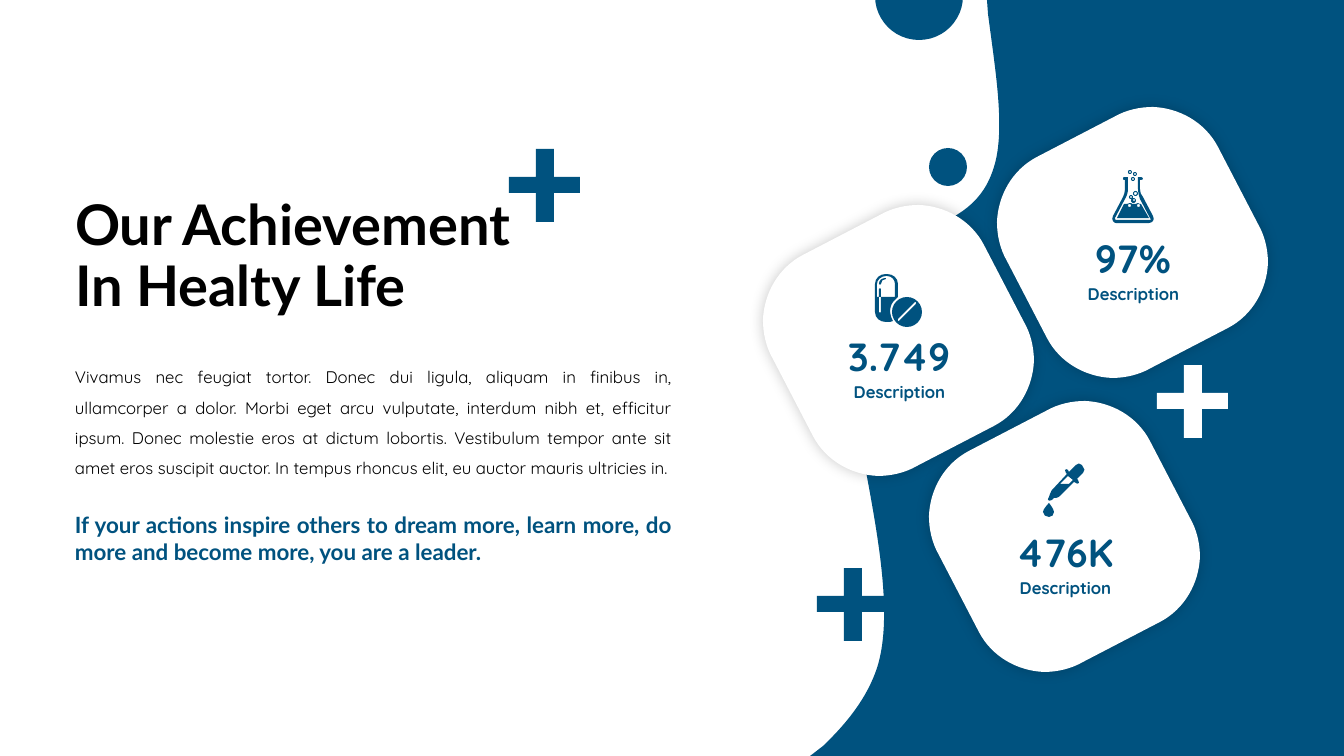
from lxml.etree import SubElement
from pptx import Presentation
from pptx.dml.color import RGBColor
from pptx.enum.shapes import MSO_SHAPE
from pptx.enum.text import MSO_ANCHOR, MSO_AUTO_SIZE, PP_ALIGN
from pptx.oxml import parse_xml
from pptx.oxml.ns import nsdecls, qn
from pptx.util import Pt

PX = 9071  # EMU in one px, at 100.8 px to the inch
BLUE, WHITE, BLACK = "00527F", "FFFFFF", "000000"

WAVE = """M 987 0 L 1344 0 L 1344 756 L 810 756 L 823 746
    C 847 723 867 698 877 668 C 907 574 831 384 850 300
    C 870 218 968 246 993 170 C 1006 133 996 75 988 14"""
CARD = """M 117 10 C 129 3 143 0 156 0 C 182 1 208 15 221 40
    L 261 117 C 268 129 271 143 271 156 C 270 182 256 208 231 221
    L 154 261 C 142 268 128 271 115 271 C 89 270 63 256 50 231
    L 10 154 C 3 142 0 128 0 115 C 1 89 15 63 40 50"""
PLUS = """M 27 0 L 45 0 L 45 28 L 71 28 L 71 44 L 45 44
    L 45 73 L 27 73 L 27 44 L 0 44 L 0 28 L 27 28"""
PILLS = """M 18 47 C 17 48 14 48 12 48 L 11 48 C 5 48 0 44 0 38 L 0 10
    C 0 4 5 0 11 0 L 12 0 C 18 0 23 4 23 10 L 23 23
    C 22 24 21 25 20 26 C 14 31 14 40 18 47
    M 20 23 L 20 10 C 20 6 17 2 12 2 L 11 2 C 6 2 2 6 2 10 L 2 23
    L 4 23 L 4 38 C 4 39 6 39 6 38 L 6 23
    M 11 4 L 11 5 C 8 5 6 7 6 10 C 6 11 4 11 4 10 C 4 6 7 4 11 4
    M 4 15 C 4 14 6 14 6 15 L 6 23 L 4 23 O 17 23 30
    M 41 28 L 40 28 L 23 45 C 22 46 22 46 23 47 L 24 47 L 41 30"""
DROPPER = """M 40 4 L 39 2 C 37 0 35 0 33 2 L 26 9 L 25 7 C 24 6 23 6 22 7
    C 22 8 22 9 23 10 L 24 11 L 10 26 C 9 27 8 28 8 29 L 7 31
    C 7 32 6 33 6 34 C 5 35 5 37 5 37 C 6 38 7 38 9 37 C 9 36 11 36 11 35
    L 13 35 C 14 35 16 34 17 33 L 31 19 L 33 20 C 33 21 35 21 36 20
    C 36 20 36 19 35 17 L 34 16 L 40 10 C 42 8 42 5 40 4
    M 26 21 L 17 21 L 25 13 L 30 17
    M 6 40 C 6 40 11 46 11 49 C 11 52 9 54 6 54
    C 3 54 0 52 0 49 C 0 46 6 40 6 40"""
FLASK = """M 41 51 C 40 52 39 53 37 53 L 4 53 C 3 53 1 52 1 51
    C 0 50 0 48 1 46 L 11 27 C 12 25 13 22 13 19 L 13 10 L 12 10
    C 11 10 11 9 11 9 C 11 8 11 7 12 7 L 16 7 L 16 19 C 16 22 15 26 13 29
    L 3 48 C 3 49 3 50 4 50 L 37 50 C 38 50 39 50 39 49 L 38 48 L 28 29
    C 27 26 26 22 26 19 L 26 7 L 29 7 C 30 7 31 8 31 9 C 31 9 30 10 29 10
    L 28 10 L 28 19 C 28 22 29 25 31 27 L 41 46 C 42 48 42 50 41 51
    M 18 33 C 19 33 20 33 20 34 L 24 34 C 24 34 25 33 26 33
    C 27 33 27 34 28 34 L 29 34 L 37 48 L 5 48 L 12 34 L 15 34
    C 16 33 16 33 18 33 O 16 34 3 O 25 34 3
    O 19 28 5 O 21 29 2 O 21 21 5 O 22 22 3 O 21 2 4 O 22 3 2
    O 17 25 4 O 18 26 2 O 16 0 4 O 17 1 2 O 19 7 4 O 20 8 2"""

presentation = Presentation()
presentation.slide_width = 1344 * PX
presentation.slide_height = 756 * PX
slide = presentation.slides.add_slide(presentation.slide_layouts[5])
slide.background.fill.solid()
slide.background.fill.fore_color.rgb = RGBColor.from_string(WHITE)


def draw_outline(left, top, outline, color):
    """Draw closed contours: M move, L line, C cubic curve, O circle (left, top, diameter)."""
    commands, anchors = [], []
    tokens = iter(outline.split())
    for letter in tokens:
        count = {"M": 2, "L": 2, "C": 6, "O": 3}[letter]
        numbers = [int(next(tokens)) * PX for _ in range(count)]
        if letter == "O":
            x, y, diameter = numbers
            radius = diameter // 2
            commands.append(("M", [(x + diameter, y + radius)], radius))
            anchors += [(x, y), (x + diameter, y + diameter)]
        else:
            points = list(zip(numbers[::2], numbers[1::2]))
            commands.append((letter, points, 0))
            anchors.append(points[-1])
    builder = slide.shapes.build_freeform(*anchors[0])
    builder.add_line_segments(anchors[1:])
    shape = builder.convert_to_shape(left * PX, top * PX)

    # The straight draft gives the frame; its steps make way for lines, curves and arcs.
    outline_path = next(shape.element.iter(qn("a:path")))
    for step in list(outline_path):
        outline_path.remove(step)
    min_x, min_y = (min(values) for values in zip(*anchors))
    tags = {"M": "a:moveTo", "L": "a:lnTo", "C": "a:cubicBezTo"}
    for index, (letter, points, radius) in enumerate(commands):
        if letter == "M" and index:
            SubElement(outline_path, qn("a:close"))
        step = SubElement(outline_path, qn(tags[letter]))
        for x, y in points:
            SubElement(step, qn("a:pt"), x=str(x - min_x), y=str(y - min_y))
        if radius:
            for start in ("0", "10800000"):
                SubElement(outline_path, qn("a:arcTo"), wR=str(radius), hR=str(radius),
                           stAng=start, swAng="10800000")
    SubElement(outline_path, qn("a:close"))

    shape.shadow.inherit = False
    shape.fill.solid()
    shape.fill.fore_color.rgb = RGBColor.from_string(color)
    shape.line.fill.background()
    return shape


def write_text(shape, box, text, size, color=BLUE, font="Quicksand", bold=True,
               align=PP_ALIGN.CENTER, anchor=MSO_ANCHOR.MIDDLE, line_spacing=1.0,
               auto_size=MSO_AUTO_SIZE.SHAPE_TO_FIT_TEXT):
    shape.left, shape.top, shape.width, shape.height = [value * PX for value in box]
    frame = shape.text_frame
    frame.text = text
    frame.word_wrap = True
    frame.auto_size = auto_size
    frame.vertical_anchor = anchor
    paragraph = frame.paragraphs[0]
    paragraph.alignment = align
    paragraph.line_spacing = line_spacing
    run_font = paragraph.runs[0].font
    run_font.name = font
    run_font.size = Pt(size)
    run_font.bold = bold
    run_font.color.rgb = RGBColor.from_string(color)


draw_outline(0, 0, WAVE, BLUE)

cards = [
    (763, 205, "3.749", PILLS, 112, 69),
    (929, 401, "476K", DROPPER, 114, 62),
    (997, 107, "97%", FLASK, 115, 63),
]
for left, top, number, icon, icon_left, icon_top in cards:
    card = draw_outline(left, top, CARD, WHITE)
    card.element.spPr.find(qn("a:effectLst")).append(parse_xml(
        f'<a:outerShdw {nsdecls("a")} blurRad="{Pt(10)}" dist="0" dir="0" algn="ctr" '
        f'rotWithShape="0"><a:srgbClr val="{BLACK}"><a:alpha val="20000"/></a:srgbClr>'
        '</a:outerShdw>'))
    for text, size, box in (("Description", 12, (left + 73, top + 172, 127, 30)),
                            (number, 28, (left + 60, top + 122, 152, 57))):
        write_text(slide.shapes.add_textbox(0, 0, 0, 0), box, text, size)
    draw_outline(left + icon_left, top + icon_top, icon, BLUE)

for left, top, color in ((1157, 365, WHITE), (817, 568, BLUE), (509, 149, BLUE)):
    draw_outline(left, top, PLUS, color)

for left, top, diameter in ((929, 148, 38), (875, -48, 88)):
    dot = slide.shapes.add_shape(MSO_SHAPE.OVAL, left * PX, top * PX, diameter * PX, diameter * PX)
    dot.shadow.inherit = False
    dot.fill.solid()
    dot.fill.fore_color.rgb = RGBColor.from_string(BLUE)
    dot.line.fill.background()

write_text(slide.shapes.title, (65, 185, 512, 146), "Our Achievement In Healty Life", 40,
           color=BLACK, font="Lato", align=PP_ALIGN.LEFT, line_spacing=0.9,
           auto_size=MSO_AUTO_SIZE.NONE)
write_text(slide.shapes.add_textbox(0, 0, 0, 0), (65, 352, 617, 132),
           "Vivamus nec feugiat tortor. Donec dui ligula, aliquam in finibus in, ullamcorper "
           "a dolor. Morbi eget arcu vulputate, interdum nibh et, efficitur ipsum. Donec "
           "molestie eros at dictum lobortis. Vestibulum tempor ante sit amet eros suscipit "
           "auctor. In tempus rhoncus elit, eu auctor mauris ultricies in.", 12,
           color=BLACK, bold=False, align=PP_ALIGN.JUSTIFY, anchor=MSO_ANCHOR.TOP,
           line_spacing=1.5)
write_text(slide.shapes.add_textbox(0, 0, 0, 0), (65, 506, 617, 64),
           "If your actions inspire others to dream more, learn more, do more and become "
           "more, you are a leader.", 16,
           font="Lato", align=PP_ALIGN.JUSTIFY, anchor=MSO_ANCHOR.TOP)

presentation.save("out.pptx")
